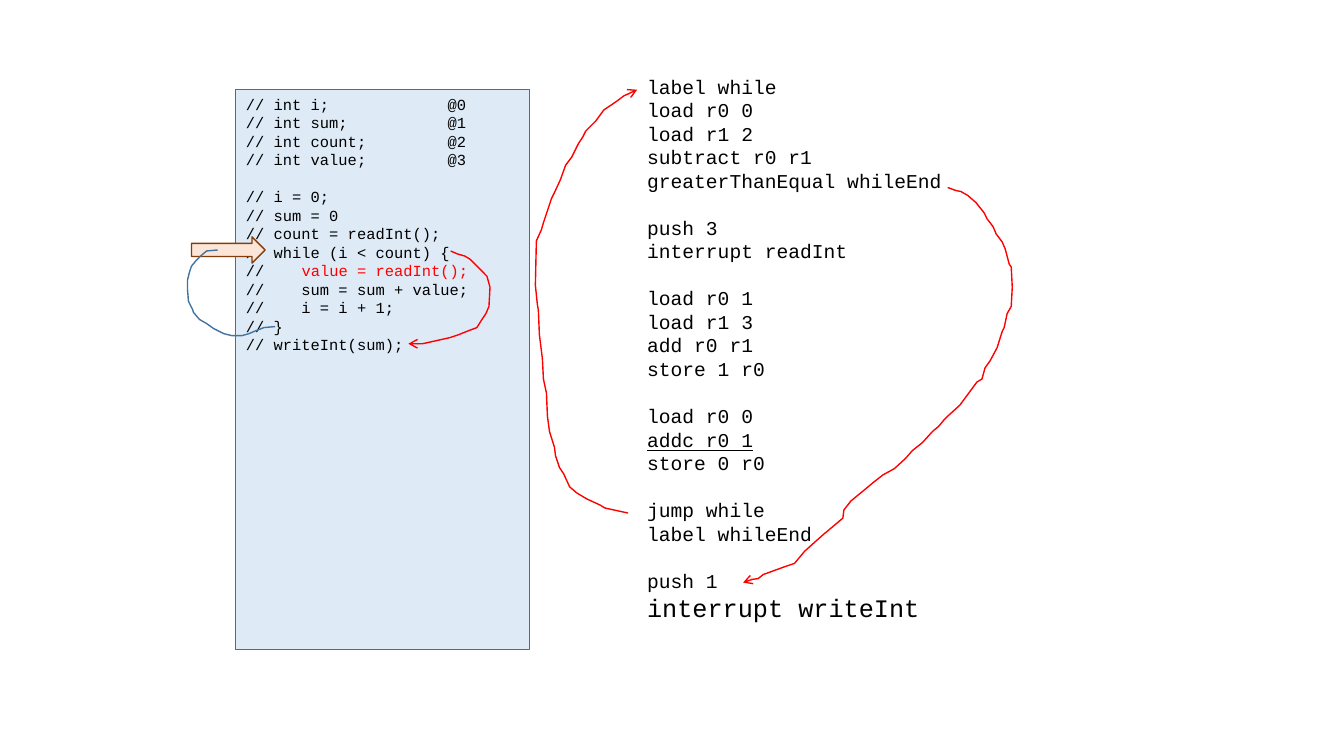
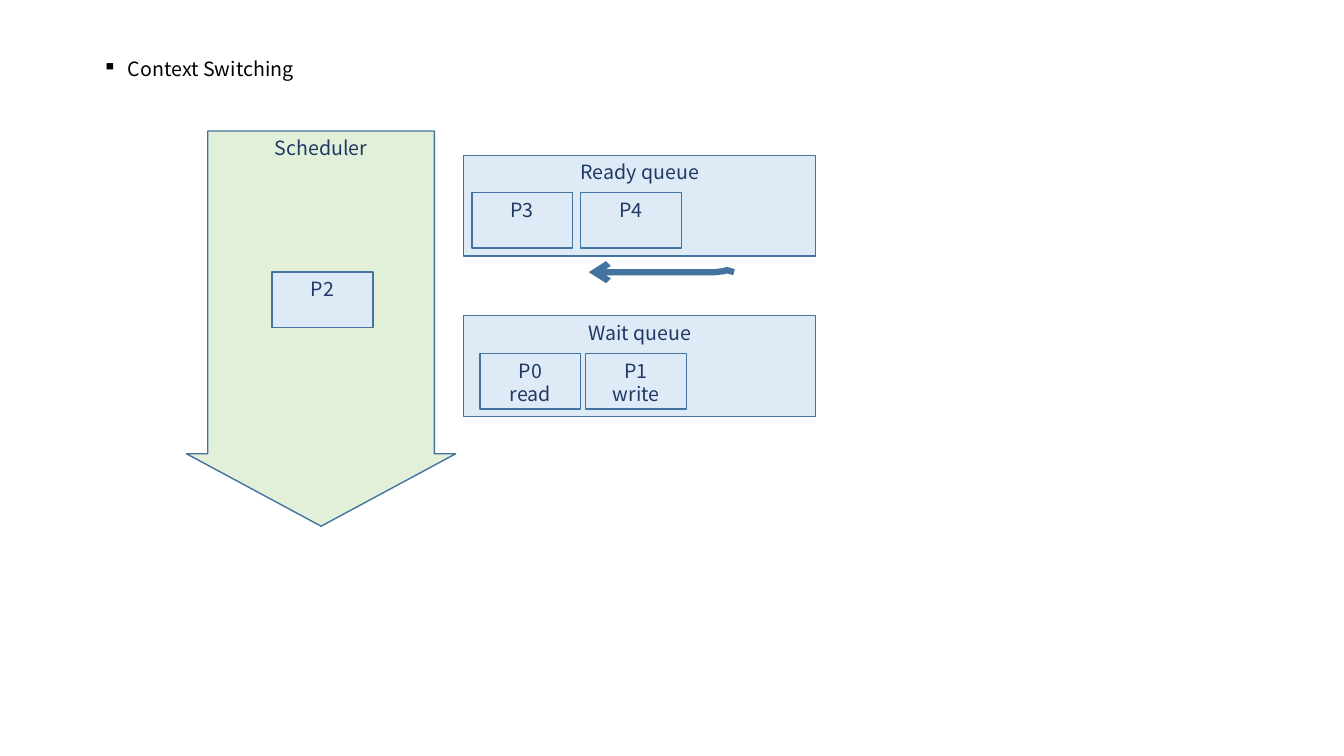
from pptx import Presentation
from pptx.dml.color import RGBColor as RGB
from pptx.enum.shapes import MSO_SHAPE as Shape
from pptx.enum.text import MSO_ANCHOR as Anchor, PP_ALIGN as Align
from pptx.oxml.ns import qn
from pptx.util import Inches, Pt
from lxml.etree import SubElement

THEME = {
    "code_font": "Courier New", "text_font": "Noto Sans CJK KR",
    "black": "000000", "red": "FF0000", "navy": "203864", "steel": "43739E",
    "blue": "2E75B6", "pale_blue": "DEEBF7", "pale_green": "E2F0D9",
    "pale_orange": "FBE5D6", "brown": "843C0B",
    "body": 14, "code": 11, "large": 18, "line_pitch": 1.2,
}


def add_block(slide, kind, at, fill, line, width=1):
    """Add a filled preset shape with its text at the top."""
    block = slide.shapes.add_shape(kind, *map(Inches, at))
    block.shadow.inherit = False
    block.fill.solid()
    block.fill.fore_color.rgb = RGB.from_string(THEME[fill])
    block.line.color.rgb = RGB.from_string(THEME[line])
    block.line.width = Pt(width)
    block.text_frame.vertical_anchor = Anchor.TOP
    return block


def write_lines(frame, lines, font, size, color, align=Align.LEFT, tab=None):
    """Write one paragraph a line; an empty line becomes space before the next."""
    frame.word_wrap = True
    gap = 0
    for line in lines:
        if not line:
            gap = size * THEME["line_pitch"]
            continue
        paragraph = frame.paragraphs[0] if line is lines[0] else frame.add_paragraph()
        paragraph.alignment = align
        if gap:
            paragraph.space_before = Pt(gap)
            gap = 0
        if tab:
            stops = SubElement(paragraph._p.get_or_add_pPr(), qn("a:tabLst"))
            SubElement(stops, qn("a:tab"), pos=str(Inches(tab)), algn="l")
        for text, changes in [(line, {})] if isinstance(line, str) else line:
            run = paragraph.add_run()
            run.text = text
            run.font.color.rgb = RGB.from_string(THEME[changes.get("color", color)])
            formats = {"name": THEME[font], "size": Pt(THEME[changes.get("size", "body")]
                       if "size" in changes else size)}
            if "underline" in changes:
                formats["underline"] = changes["underline"]
            for key, value in formats.items():
                setattr(run.font, key, value)


deck = Presentation()
deck.slide_width, deck.slide_height = Inches(13.33), Inches(7.5)
loop_slide, queue_slide = (deck.slides.add_slide(deck.slide_layouts[6]) for _ in range(2))

# Loop slide: machine instructions
assembly = loop_slide.shapes.add_textbox(*map(Inches, (6.32, 0.69, 3.57, 5.59)))
write_lines(assembly.text_frame, [
    "label while",
    "load r0 0",
    "load r1 2",
    "subtract r0 r1",
    "greaterThanEqual whileEnd",
    "",
    "push 3",
    "interrupt readInt",
    "",
    "load r0 1",
    "load r1 3",
    "add r0 r1",
    "store 1 r0",
    "",
    "load r0 0",
    [("addc r0 1", {"underline": True})],
    "store 0 r0",
    "",
    "jump while",
    "label whileEnd",
    "",
    "push 1",
    [("interrupt writeInt", {"size": "large"})],
], "code_font", THEME["body"], "black")

# Loop slide: source code and the current line
source_code = add_block(loop_slide, Shape.RECTANGLE, (2.34, 0.89, 2.91, 5.55),
                        "pale_blue", "blue", 0.75)
write_lines(source_code.text_frame, [
    "// int i;\t@0",
    "// int sum;\t@1",
    "// int count;\t@2",
    "// int value;\t@3",
    "",
    "// i = 0;",
    "// sum = 0",
    "// count = readInt();",
    "// while (i < count) {",
    [("//    ", {}), ("value = readInt();", {"color": "red"})],
    "//    sum = sum + value;",
    "//    i = i + 1;",
    "// }",
    "// writeInt(sum);",
], "code_font", THEME["code"], "black", tab=2)
add_block(loop_slide, Shape.RIGHT_ARROW, (1.9, 2.35, 0.73, 0.26), "pale_orange", "brown")

# Queue slide: heading
heading = queue_slide.shapes.add_textbox(*map(Inches, (0.92, 0.54, 5.36, 0.4)))
topic = heading.text_frame.paragraphs[0]
topic_format = topic._p.get_or_add_pPr()
topic_format.set("marL", str(Inches(0.25)))
topic_format.set("indent", str(-Inches(0.25)))
SubElement(topic_format, qn("a:buChar"), char="▪")
topic.line_spacing = 0.9
write_lines(heading.text_frame, ["Context Switching"], "text_font", THEME["body"], "black")

# Queue slide: scheduler, queues and processes
PROCESS = (1, 0.55)
QUEUE = (3.49, 1)
for kind, place, size, fill, lines in [
    (Shape.RECTANGLE, (4.6, 3.13), QUEUE, "pale_blue", ["Wait queue"]),
    (Shape.RECTANGLE, (4.6, 1.54), QUEUE, "pale_blue", ["Ready queue"]),
    (Shape.DOWN_ARROW, (1.85, 1.3), (2.67, 3.92), "pale_green", ["Scheduler"]),
    (Shape.RECTANGLE, (2.7, 2.7), PROCESS, "pale_blue", ["P2"]),
    (Shape.RECTANGLE, (4.76, 3.51), PROCESS, "pale_blue", ["P0", "read"]),
    (Shape.RECTANGLE, (5.81, 3.51), PROCESS, "pale_blue", ["P1", "write"]),
    (Shape.RECTANGLE, (4.68, 1.91), PROCESS, "pale_blue", ["P3"]),
    (Shape.RECTANGLE, (5.76, 1.91), PROCESS, "pale_blue", ["P4"]),
]:
    block = add_block(queue_slide, kind, place + size, fill, "steel")
    if kind == Shape.DOWN_ARROW:
        block.adjustments[0], block.adjustments[1] = 0.842, 0.269
    write_lines(block.text_frame, lines, "text_font", THEME["body"], "navy", Align.CENTER)

# Hand-drawn strokes: points along each path
repeat_body = [
    (2.73, 3.24), (2.62, 3.25), (2.54, 3.28), (2.47, 3.31), (2.4, 3.33), (2.3, 3.33),
    (2.22, 3.31), (2.12, 3.26), (2.05, 3.21), (1.98, 3.17), (1.92, 3.1), (1.91, 3.07),
    (1.87, 2.99), (1.86, 2.87), (1.86, 2.78), (1.88, 2.7), (1.9, 2.64), (1.95, 2.58),
    (1.99, 2.54), (2.05, 2.49), (2.16, 2.48),
]
jump_to_start = [
    (6.23, 5.09), (6, 5.04), (5.95, 5.01), (5.82, 4.95), (5.72, 4.89), (5.65, 4.83),
    (5.59, 4.7), (5.55, 4.64), (5.51, 4.52), (5.5, 4.44), (5.45, 4.28), (5.43, 4.13),
    (5.42, 3.9), (5.39, 3.76), (5.38, 3.56), (5.35, 3.32), (5.34, 3.08), (5.33, 3.02),
    (5.31, 2.83), (5.32, 2.39), (5.37, 2.28), (5.39, 2.21), (5.47, 1.97), (5.5, 1.91),
    (5.56, 1.78), (5.61, 1.64), (5.67, 1.56), (5.74, 1.42), (5.78, 1.36), (5.81, 1.3),
    (5.91, 1.2), (5.99, 1.09), (6.11, 1.01), (6.19, 0.95), (6.28, 0.91), (6.32, 0.89),
]
leave_loop = [
    (4.47, 2.49), (4.54, 2.52), (4.61, 2.54), (4.66, 2.57), (4.72, 2.63), (4.8, 2.71),
    (4.83, 2.74), (4.86, 2.85), (4.85, 3.04), (4.82, 3.11), (4.78, 3.17), (4.73, 3.25),
    (4.65, 3.28), (4.55, 3.32), (4.46, 3.35), (4.28, 3.39), (4.19, 3.41), (4.05, 3.41),
]
jump_to_end = [
    (9.4, 1.86), (9.48, 1.89), (9.53, 1.9), (9.6, 1.94), (9.68, 2.01), (9.76, 2.11),
    (9.79, 2.17), (9.85, 2.25), (9.88, 2.32), (9.94, 2.4), (9.97, 2.47), (10.01, 2.62),
    (10.03, 2.65), (10.04, 2.85), (10.03, 3.04), (9.99, 3.11), (9.96, 3.25), (9.94, 3.29),
    (9.89, 3.45), (9.82, 3.58), (9.77, 3.65), (9.74, 3.76), (9.69, 3.79), (9.52, 4.02),
    (9.41, 4.12), (9.36, 4.17), (9.31, 4.23), (9.25, 4.28), (9.15, 4.39), (9.05, 4.47),
    (8.98, 4.55), (8.87, 4.65), (8.76, 4.71), (8.67, 4.78), (8.55, 4.88), (8.44, 4.97),
    (8.37, 5.06), (8.36, 5.14), (8.29, 5.2), (8.17, 5.3), (8.08, 5.38), (7.98, 5.47),
    (7.88, 5.59), (7.79, 5.62), (7.68, 5.66), (7.57, 5.7), (7.52, 5.74), (7.45, 5.75),
    (7.37, 5.78),
]
next_process = [(7.28, 2.7), (7.21, 2.68), (7.18, 2.69), (7.09, 2.7), (5.84, 2.7)]

for slide, points, color, width, has_arrow in [
    (loop_slide, repeat_body, "steel", 1, False),
    (loop_slide, jump_to_start, "red", 1, True),
    (loop_slide, leave_loop, "red", 1, True),
    (loop_slide, jump_to_end, "red", 1, True),
    (queue_slide, next_process, "steel", 4.5, True),
]:
    start, *rest = [(Inches(x), Inches(y)) for x, y in points]
    outline = slide.shapes.build_freeform(*start)
    outline.add_line_segments(rest, close=False)
    stroke = outline.convert_to_shape()
    stroke.shadow.inherit = False
    stroke.fill.background()
    stroke.line.color.rgb = RGB.from_string(THEME[color])
    stroke.line.width = Pt(width)
    if has_arrow:
        SubElement(stroke._element.spPr.find(qn("a:ln")), qn("a:tailEnd"), type="arrow")

deck.save("out.pptx")
